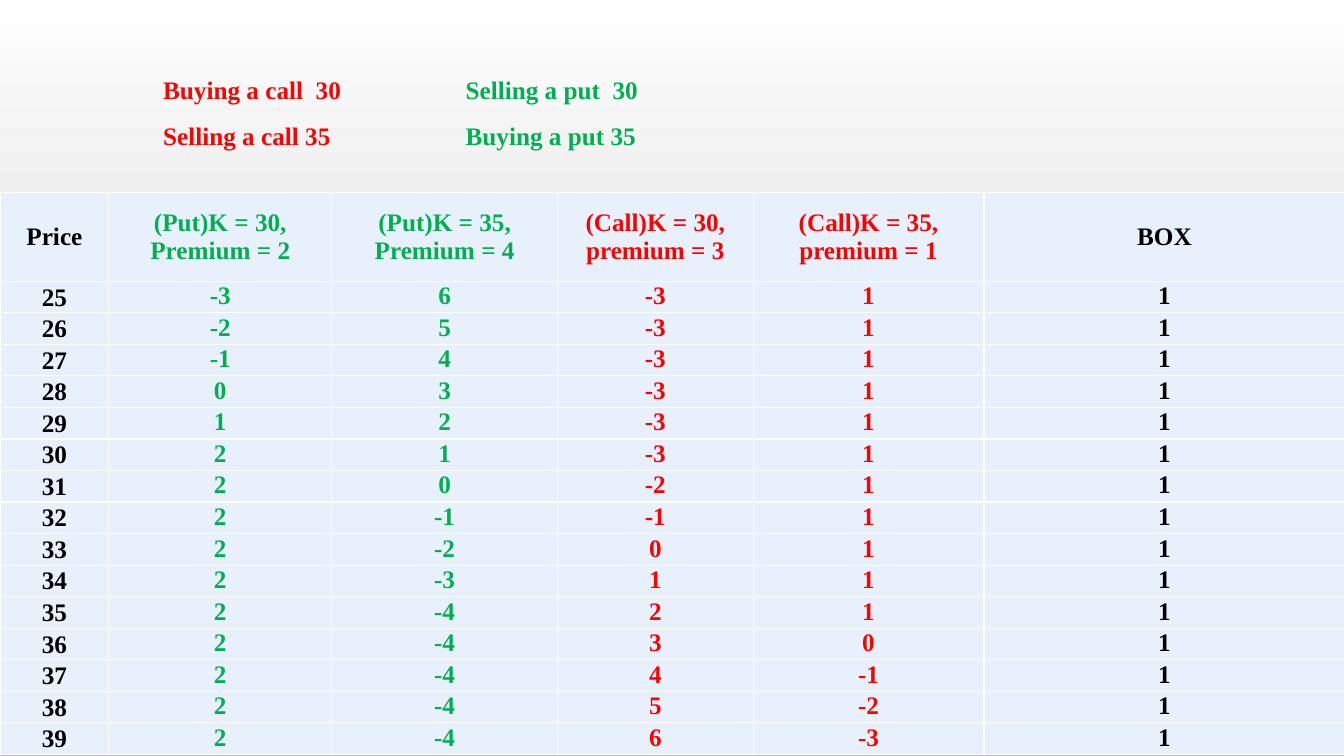
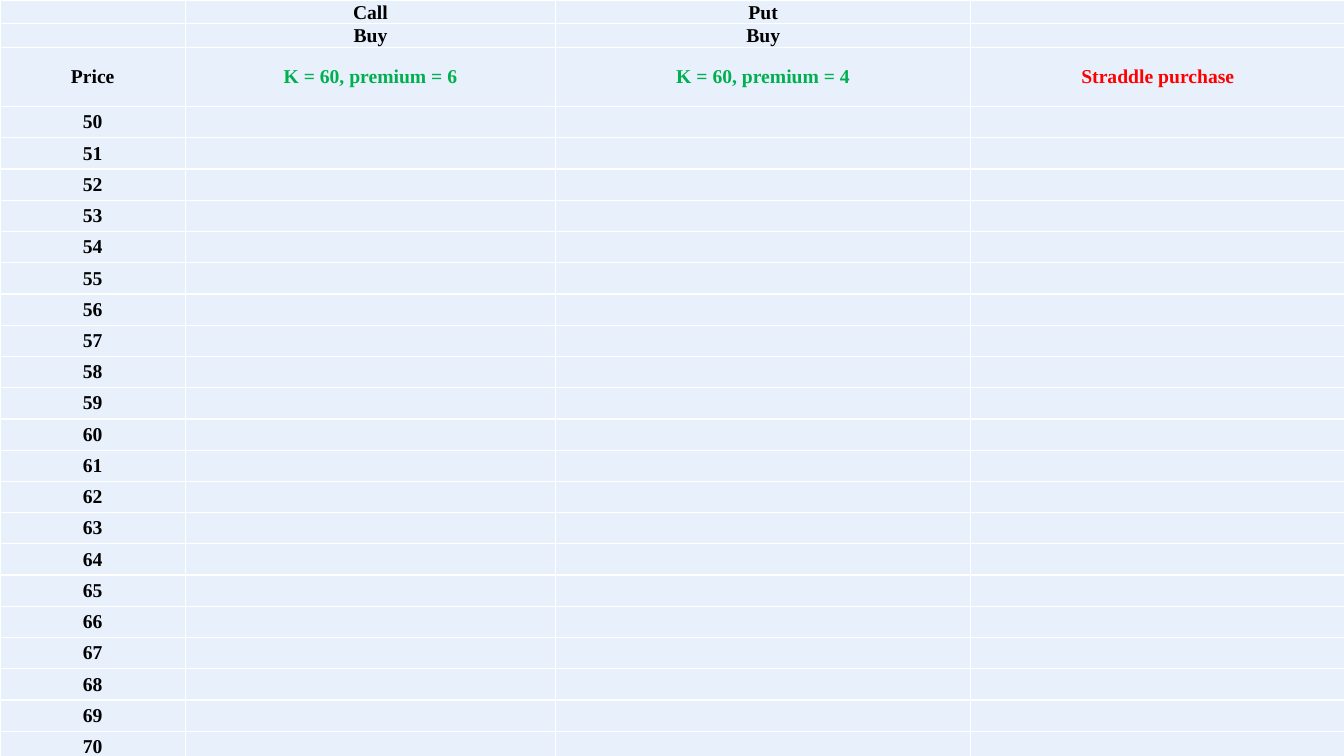
from dataclasses import dataclass

from lxml import etree
from pptx import Presentation
from pptx.dml.color import RGBColor
from pptx.enum.text import MSO_ANCHOR, PP_ALIGN
from pptx.oxml.ns import qn
from pptx.util import Inches, Pt

TOP, MIDDLE, BOTTOM = MSO_ANCHOR.TOP, MSO_ANCHOR.MIDDLE, MSO_ANCHOR.BOTTOM
CENTER = PP_ALIGN.CENTER


@dataclass(frozen=True)
class Theme:
    font: str = "Times New Roman"
    large: int = 18
    small: int = 14
    black: str = "000000"
    red: str = "FF0000"
    green: str = "00B050"
    cell: str = "E8F0FC"
    border: str = "FFFFFF"
    bg_top: str = "FFFFFF"
    bg_bottom: str = "B9B9B9"


class Deck:
    def __init__(self, theme):
        self.theme = theme
        self.prs = Presentation()
        self.prs.slide_width = Inches(13.33)
        self.prs.slide_height = Inches(7.5)
        self.slide = None
        fill = self.prs.slide_master.background.fill
        fill.gradient()
        fill.gradient_angle = 270
        for stop, color in zip(fill.gradient_stops, (theme.bg_top, theme.bg_bottom)):
            stop.color.rgb = RGBColor.from_string(color)

    def add_slide(self):
        self.slide = self.prs.slides.add_slide(self.prs.slide_layouts[6])

    def run(self, p, text, size, color):
        r = p.add_run()
        r.text = text
        r.font.name = self.theme.font
        r.font.size = Pt(size)
        r.font.bold = True
        r.font.color.rgb = RGBColor.from_string(color)

    def tabbed_title(self, left, top, width, height, lines, tab):
        tf = self.slide.shapes.add_textbox(
            Inches(left), Inches(top), Inches(width), Inches(height)).text_frame
        tf.word_wrap = True
        tf.vertical_anchor = MIDDLE
        for i, runs in enumerate(lines):
            p = tf.add_paragraph() if i else tf.paragraphs[0]
            tabs = etree.SubElement(p._p.get_or_add_pPr(), qn("a:tabLst"))
            etree.SubElement(tabs, qn("a:tab"), pos=str(Inches(tab)), algn="l")
            p.line_spacing = 1.5
            for text, color in runs:
                self.run(p, text, self.theme.large, color)

    def borders(self, cell):
        tc_pr = cell._tc.get_or_add_tcPr()
        for side in ("L", "R", "T", "B"):
            ln = etree.SubElement(tc_pr, qn(f"a:ln{side}"), w=str(Pt(1)))
            fill = etree.SubElement(ln, qn("a:solidFill"))
            etree.SubElement(fill, qn("a:srgbClr"), val=self.theme.border)

    def fill_cell(self, cell, text, size, color, anchor, margin):
        cell.margin_left = cell.margin_right = cell.margin_top = Inches(margin)
        cell.margin_bottom = 0
        cell.vertical_anchor = anchor
        self.borders(cell)
        cell.fill.solid()
        cell.fill.fore_color.rgb = RGBColor.from_string(self.theme.cell)
        p = cell.text_frame.paragraphs[0]
        p.alignment = CENTER
        if text:
            self.run(p, text, size, color)
        else:
            etree.SubElement(p._p, qn("a:endParaRPr"), sz=str(size * 100))

    def table(self, top, widths, heights, rows, size, margin, style):
        frame = self.slide.shapes.add_table(
            len(rows), len(widths), 0, Inches(top),
            Inches(sum(widths)), Inches(sum(heights)))
        table = frame.table
        table.first_row = table.horz_banding = False
        for column, width in zip(table.columns, widths):
            column.width = Inches(width)
        for row, height in zip(table.rows, heights):
            row.height = Inches(height)
        for i, row in enumerate(rows):
            for j, text in enumerate(row):
                color, anchor = style(i, j)
                self.fill_cell(table.cell(i, j), text, size, color, anchor, margin)


def box_row(price):
    legs = [2 - max(30 - price, 0), max(35 - price, 0) - 4,
            max(price - 30, 0) - 3, 1 - max(price - 35, 0)]
    return [str(value) for value in (price, *legs, sum(legs))]


def box_slide(deck):
    t = deck.theme
    deck.add_slide()
    deck.tabbed_title(1.52, 0.57, 10.02, 0.94, [
        [("Buying a call  30\t", t.red), ("Selling a put  30", t.green)],
        [("Selling a call 35\t", t.red), ("Buying a put 35", t.green)],
    ], tab=3)
    header = ["Price", "(Put)K = 30, Premium = 2", "(Put)K = 35, Premium = 4",
              "(Call)K = 30, premium = 3", "(Call)K = 35, premium = 1", "BOX"]
    rows = [header] + [box_row(price) for price in range(25, 40)]
    colors = [t.black, t.green, t.green, t.red, t.red, t.black]
    heights = [0.88] + [4.7 / 15] * 15

    def style(i, j):
        return colors[j], MIDDLE if i == 0 or j == 0 else TOP

    deck.table(1.91, [1.08, 2.21, 2.24, 1.94, 2.29, 3.58], heights, rows,
               t.large, 0.01, style)


def straddle_slide(deck):
    t = deck.theme
    deck.add_slide()
    rows = [["", "Call", "Put", ""], ["", "Buy", "Buy", ""],
            ["Price", "K = 60, premium = 6", "K = 60, premium = 4",
             "Straddle purchase"]]
    rows += [[str(price), "", "", ""] for price in range(50, 71)]
    heights = [0.19, 0.2, 0.59] + [0.31] * 21
    header_colors = [t.black, t.green, t.green, t.red]

    def style(i, j):
        return header_colors[j] if i == 2 else t.black, BOTTOM if i < 2 else MIDDLE

    deck.table(0, [1.84, 3.67, 4.12, 3.71], heights, rows, t.small, 0, style)


def main():
    deck = Deck(Theme())
    box_slide(deck)
    straddle_slide(deck)
    deck.prs.save("out.pptx")


if __name__ == "__main__":
    main()
